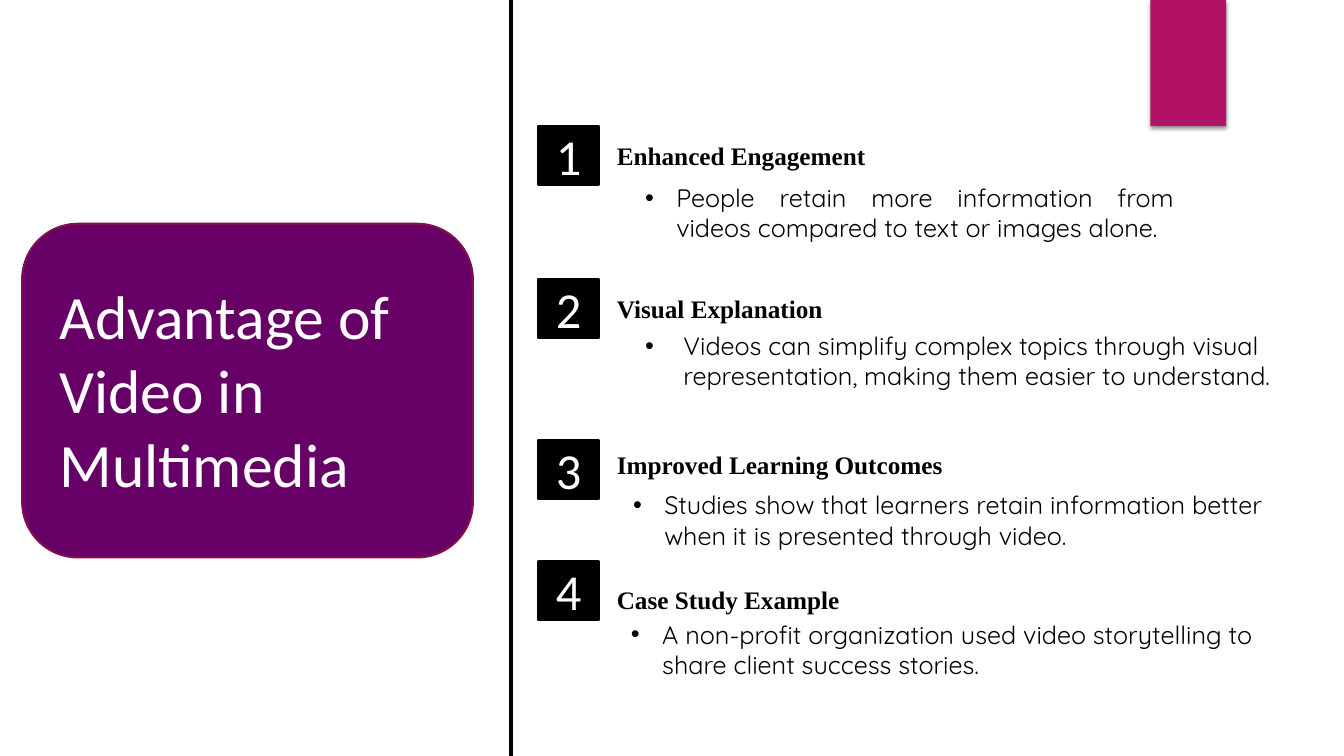
from dataclasses import dataclass

from lxml import etree
from pptx import Presentation
from pptx.dml.color import RGBColor
from pptx.enum.shapes import MSO_CONNECTOR, MSO_SHAPE
from pptx.enum.text import MSO_ANCHOR, MSO_AUTO_SIZE, PP_ALIGN
from pptx.oxml.ns import qn
from pptx.util import Inches, Pt

RECTANGLE, ROUNDED = MSO_SHAPE.RECTANGLE, MSO_SHAPE.ROUNDED_RECTANGLE
STRAIGHT = MSO_CONNECTOR.STRAIGHT
TOP, MIDDLE = MSO_ANCHOR.TOP, MSO_ANCHOR.MIDDLE
LEFT, CENTER, JUSTIFY = PP_ALIGN.LEFT, PP_ALIGN.CENTER, PP_ALIGN.JUSTIFY
FIXED = MSO_AUTO_SIZE.NONE

WIDTH, HEIGHT = Inches(13.33), Inches(7.5)
BLACK, WHITE = "000000", "FFFFFF"
PURPLE, WINE, MAGENTA = "660066", "840D4B", "B31166"
BADGE_LEFT, BADGE_WIDTH, BADGE_HEIGHT = 40.06, 4.5, 7.73
HEADING_LEFT, HEADING_HEIGHT = 45.16, 5.33


@dataclass(frozen=True)
class Area:
    """Left, top, width and height in percent of the slide's size."""
    left: float
    top: float
    width: float
    height: float

    def lengths(self) -> tuple[int, int, int, int]:
        return (across(self.left), down(self.top),
                across(self.width), down(self.height))


@dataclass(frozen=True)
class Advantage:
    badge_top: float
    heading_top: float
    heading_width: float
    heading: str
    body_area: Area
    body: str
    indent: float = 0.31
    align: PP_ALIGN = LEFT


ADVANTAGES = [
    Advantage(16.67, 17.87, 37.28, "Enhanced Engagement",
              Area(47.26, 23.47, 40.81, 13.47),
              "People retain more information from videos compared to text "
              "or images alone.", align=JUSTIFY),
    Advantage(36.93, 38.13, 24.16, "Visual Explanation",
              Area(47.26, 43.07, 50.04, 13.47),
              "Videos can simplify complex topics through visual "
              "representation, making them easier to understand.", indent=0.38),
    Advantage(58.27, 58.8, 35.56, "Improved Learning Outcomes",
              Area(46.36, 64.13, 50.04, 9.47),
              "Studies show that learners retain information better when it "
              "is presented through video."),
    Advantage(74.27, 76.67, 24.16, "Case Study Example",
              Area(46.21, 81.2, 50.04, 9.47),
              "A non-profit organization used video storytelling to share "
              "client success stories."),
]


def across(percent: float) -> int:
    return round(WIDTH * percent / 100)


def down(percent: float) -> int:
    return round(HEIGHT * percent / 100)


def color(value: str) -> RGBColor:
    return RGBColor.from_string(value)


def write(shape, text: str, font: str, size: float, ink: str = BLACK,
          bold: bool = False, align: PP_ALIGN = LEFT,
          anchor: MSO_ANCHOR = TOP):
    frame = shape.text_frame
    frame.word_wrap = True
    frame.auto_size = FIXED
    frame.vertical_anchor = anchor
    para = frame.paragraphs[0]
    para.alignment = align
    span = para.add_run()
    span.text = text
    span.font.name = font
    span.font.size = Pt(size)
    span.font.bold = bold
    span.font.color.rgb = color(ink)
    return para


def add_block(page, kind: MSO_SHAPE, area: Area, fill: str,
              outline: str | None = None):
    block = page.shapes.add_shape(kind, *area.lengths())
    block.shadow.inherit = False
    block.fill.solid()
    block.fill.fore_color.rgb = color(fill)
    if outline:
        block.line.color.rgb = color(outline)
        block.line.width = Pt(1.5)
    else:
        block.line.fill.background()
    return block


def add_shadow(block) -> None:
    effects = block.element.spPr.find(qn("a:effectLst"))
    shadow = etree.SubElement(effects, qn("a:outerShdw"), blurRad=str(Pt(3)),
                              dist=str(Pt(2)), dir="5400000", rotWithShape="0")
    tint = etree.SubElement(shadow, qn("a:srgbClr"), val=BLACK)
    etree.SubElement(tint, qn("a:alpha"), val="45000")


def add_bullet(para, indent: float) -> None:
    props = para._p.get_or_add_pPr()
    props.set("marL", str(Inches(indent)))
    props.set("indent", str(-Inches(indent)))
    etree.SubElement(props, qn("a:buFont"), typeface="Arial")
    etree.SubElement(props, qn("a:buChar"), char="•")


def add_title(page) -> None:
    panel = add_block(page, ROUNDED, Area(1.65, 29.6, 33.53, 44.13),
                      PURPLE, WINE)
    title = page.shapes.title
    title.left, title.top, title.width, title.height = Area(
        3.68, 36.13, 33.68, 30.93).lengths()
    write(title, "Advantage of Video in Multimedia", "Calibri", 44, WHITE)
    panel.element.addnext(title.element)  # title in front of its panel


def add_divider(page) -> None:
    divider = page.shapes.add_connector(STRAIGHT, across(38.03), 0,
                                        across(38.03), HEIGHT)
    divider.line.color.rgb = color(BLACK)
    divider.line.width = Pt(3)
    etree.SubElement(divider.element.spPr, qn("a:effectLst"))


def add_advantage(page, number: int, item: Advantage) -> None:
    badge = add_block(page, RECTANGLE,
                      Area(BADGE_LEFT, item.badge_top, BADGE_WIDTH,
                           BADGE_HEIGHT), BLACK, BLACK)
    write(badge, str(number), "Calibri", 36, WHITE, align=CENTER,
          anchor=MIDDLE)
    heading_area = Area(HEADING_LEFT, item.heading_top, item.heading_width,
                        HEADING_HEIGHT)
    heading = page.shapes.add_textbox(*heading_area.lengths())
    write(heading, item.heading, "Times New Roman", 18, bold=True)
    body = page.shapes.add_textbox(*item.body_area.lengths())
    para = write(body, item.body, "Quicksand", 18, align=item.align)
    add_bullet(para, item.indent)


def main() -> None:
    deck = Presentation()
    deck.slide_width, deck.slide_height = WIDTH, HEIGHT
    page = deck.slides.add_slide(deck.slide_layouts.get_by_name("Title Only"))
    page.background.fill.solid()
    page.background.fill.fore_color.rgb = color(WHITE)

    # Ribbon at the top edge
    add_shadow(add_block(page, RECTANGLE, Area(85.6, 0, 5.63, 16.67), MAGENTA))

    # Title panel and divider
    add_title(page)
    add_divider(page)

    # Numbered advantages
    for number, item in enumerate(ADVANTAGES, start=1):
        add_advantage(page, number, item)

    deck.save("out.pptx")


if __name__ == "__main__":
    main()
